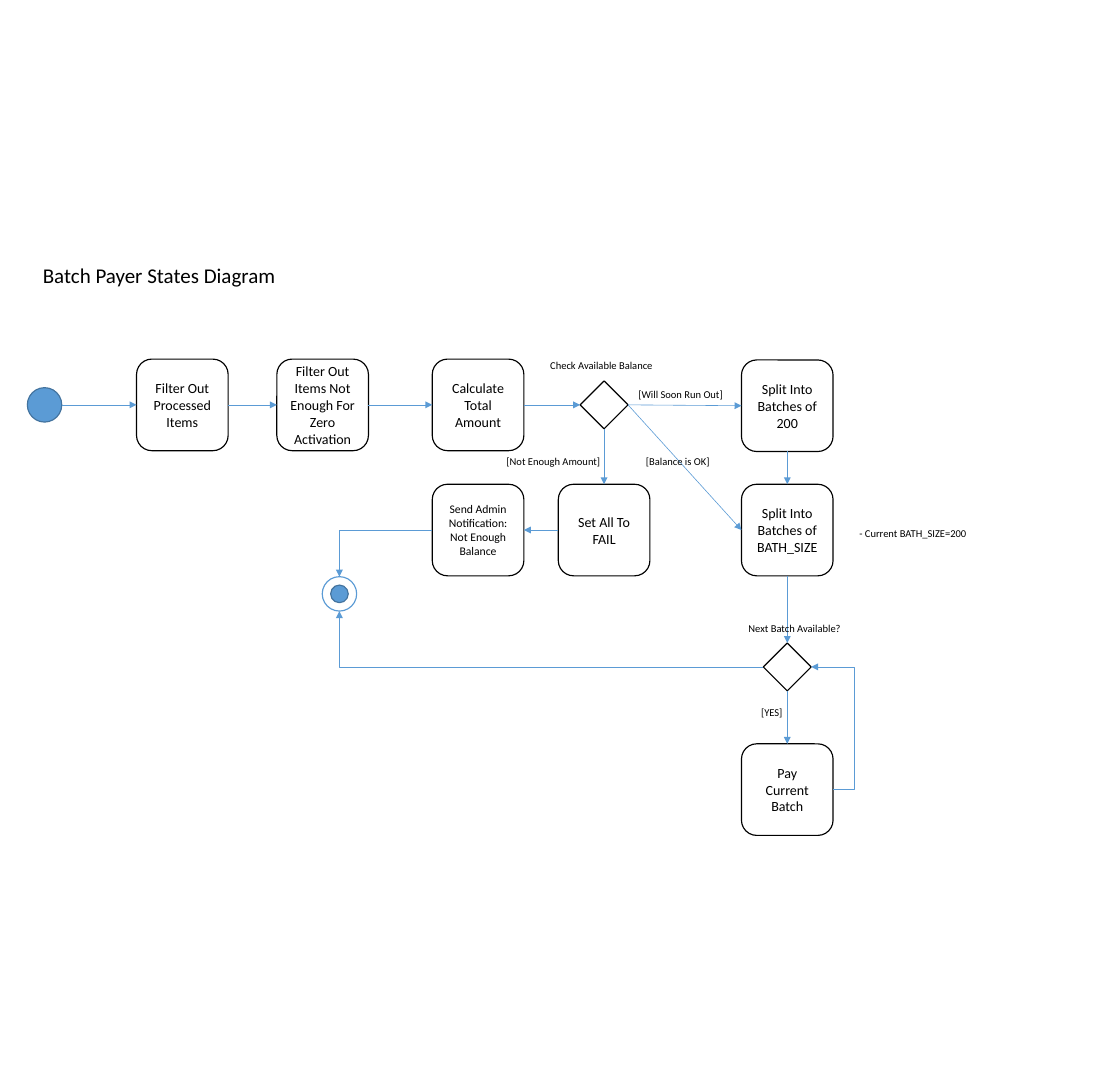
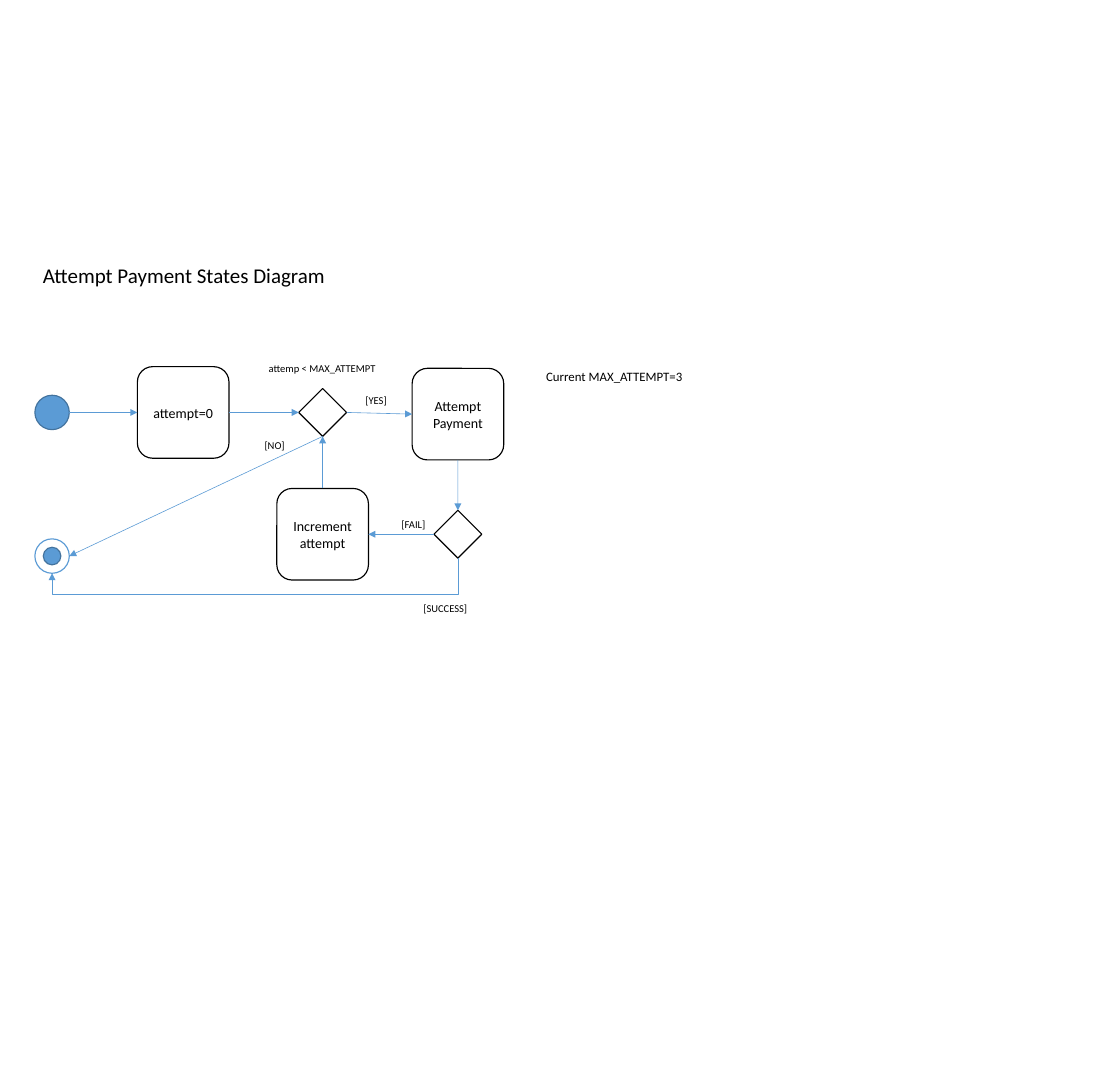
import pptx
import pptx.util
from pptx.dml.color import RGBColor
from pptx.enum.shapes import MSO_CONNECTOR, MSO_SHAPE
from pptx.enum.text import MSO_ANCHOR, MSO_AUTO_SIZE, PP_ALIGN
from pptx.oxml.ns import qn
from pptx.util import Inches

BLACK = RGBColor(0x00, 0x00, 0x00)
WHITE = RGBColor(0xFF, 0xFF, 0xFF)
BLUE = RGBColor(0x5B, 0x9B, 0xD5)
DARK_BLUE = RGBColor(0x43, 0x73, 0x9E)
FONT = "Calibri"

# Connection sites, counted anticlockwise from the top
TOP, LEFT, BOTTOM, RIGHT = range(4)


def write_text(frame, text, size=12, align=PP_ALIGN.LEFT, anchor=MSO_ANCHOR.TOP,
               wrap=True, grow=False):
    """Put one formatted paragraph into a text frame."""
    frame.word_wrap = wrap
    frame.vertical_anchor = anchor
    frame.auto_size = MSO_AUTO_SIZE.SHAPE_TO_FIT_TEXT if grow else MSO_AUTO_SIZE.NONE
    paragraph = frame.paragraphs[0]
    paragraph.alignment = align
    run = paragraph.add_run()
    run.text = text
    run.font.name = FONT
    run.font.size = pptx.util.Pt(size)
    run.font.color.rgb = BLACK


class StateDiagram:
    """The diagram style and the slide being drawn; nodes are placed by centre."""

    STATE, DECISION, CIRCLE, DOT = 1.09, 0.57, 0.41, 0.21
    DETOUR = 0.25  # distance an elbow swings out past its shape

    def __init__(self, deck):
        self.deck = deck
        self.slide = None

    def new_slide(self, title, title_width):
        self.slide = self.deck.slides.add_slide(self.deck.slide_layouts[5])
        heading = self.slide.shapes.title
        heading.left, heading.top = Inches(0.41), Inches(3.08)
        heading.width, heading.height = Inches(title_width), Inches(0.4)
        write_text(heading.text_frame, title, size=18, wrap=False, grow=True)

    def node(self, kind, x, y, size, fill=WHITE, line=BLACK):
        shape = self.slide.shapes.add_shape(
            kind, Inches(x - size / 2), Inches(y - size / 2), Inches(size), Inches(size))
        shape.shadow.inherit = False
        shape.fill.solid()
        shape.fill.fore_color.rgb = fill
        shape.line.color.rgb = line
        shape.line.width = pptx.util.Pt(1)
        return shape

    def state(self, text, x, y, size=12):
        shape = self.node(MSO_SHAPE.ROUNDED_RECTANGLE, x, y, self.STATE)
        write_text(shape.text_frame, text, size=size, align=PP_ALIGN.CENTER,
                   anchor=MSO_ANCHOR.MIDDLE)
        return shape

    def decision(self, x, y):
        return self.node(MSO_SHAPE.DIAMOND, x, y, self.DECISION)

    def start(self, x, y):
        return self.node(MSO_SHAPE.OVAL, x, y, self.CIRCLE, BLUE, DARK_BLUE)

    def end(self, x, y):
        ring = self.node(MSO_SHAPE.OVAL, x, y, self.CIRCLE, WHITE, BLUE)
        self.node(MSO_SHAPE.OVAL, x, y, self.DOT, BLUE, DARK_BLUE)
        return ring

    def label(self, text, x, y, width, height=0.25, size=9, wrap=False):
        box = self.slide.shapes.add_textbox(
            Inches(x), Inches(y), Inches(width), Inches(height))
        write_text(box.text_frame, text, size=size, wrap=wrap, grow=True)

    def arrow(self, source, source_side, target, target_side, kind=MSO_CONNECTOR.STRAIGHT):
        link = self.slide.shapes.add_connector(kind, 0, 0, 0, 0)
        link.begin_connect(source, source_side)
        link.end_connect(target, target_side)
        # An ellipse has eight sites, so its four main ones are every second
        for tag, shape, side in (("a:stCxn", source, source_side),
                                 ("a:endCxn", target, target_side)):
            if shape.auto_shape_type == MSO_SHAPE.OVAL:
                site = next(link._element.iter(qn(tag)))
                site.set("idx", str(side * 2))
        link.line.color.rgb = BLUE
        link.line.width = pptx.util.Pt(0.5)
        line = link.line._get_or_add_ln()
        line.append(line.makeelement(qn("a:tailEnd"), {"type": "triangle"}))
        properties = link._element.spPr
        properties.append(properties.makeelement(qn("a:effectLst"), {}))
        return link

    def corner(self, *ends):
        """An elbow with one bend: across, then up or down."""
        link = self.arrow(*ends, kind=MSO_CONNECTOR.ELBOW)
        link._element.spPr.find(qn("a:prstGeom")).set("prst", "bentConnector2")

    def bend_at(self, link, share):
        geometry = link._element.spPr.find(qn("a:prstGeom"))
        guides = geometry.get_or_add_avLst()
        guides.append(guides.makeelement(
            qn("a:gd"), {"name": "adj1", "fmla": f"val {round(share * 100000)}"}))

    def loop_right(self, source, target):
        """Leave by the right side and come back into a right side."""
        link = self.arrow(source, RIGHT, target, RIGHT, kind=MSO_CONNECTOR.ELBOW)
        self.bend_at(link, -Inches(self.DETOUR) / link.width)

    def loop_below(self, source, target):
        """Leave by the bottom and come up into a bottom further left."""
        link = self.arrow(source, BOTTOM, target, BOTTOM, kind=MSO_CONNECTOR.ELBOW)
        across, down = link.width, link.height
        middle_x, middle_y = link.left + across // 2, link.top + down // 2
        frame = link._element.spPr.find(qn("a:xfrm"))
        frame.attrib.clear()
        frame.set("rot", str(90 * 60000))
        link.left, link.top = middle_x - down // 2, middle_y - across // 2
        link.width, link.height = down, across
        self.bend_at(link, 1 + Inches(self.DETOUR) / down)


deck = pptx.Presentation()
deck.slide_width, deck.slide_height = Inches(13.33), Inches(13)
diagram = StateDiagram(deck)

# Slide 1: batch payer
diagram.new_slide("Batch Payer States Diagram", 3)
MAIN_ROW, FAIL_ROW, NEXT_ROW, PAY_ROW = 4.82, 6.31, 7.94, 9.4
TOTAL_COLUMN, BALANCE_COLUMN, BATCH_COLUMN = 5.69, 7.19, 9.37

start = diagram.start(0.53, MAIN_ROW)
finish = diagram.end(4.04, 7.07)
filter_processed = diagram.state("Filter Out Processed Items", 2.17, MAIN_ROW)
filter_zero = diagram.state(
    "Filter Out Items Not Enough For Zero Activation", 3.84, MAIN_ROW)
total = diagram.state("Calculate Total Amount", TOTAL_COLUMN, MAIN_ROW)
balance = diagram.decision(BALANCE_COLUMN, MAIN_ROW)
split_200 = diagram.state("Split Into Batches of 200", BATCH_COLUMN, 4.83)
set_fail = diagram.state("Set All To FAIL", BALANCE_COLUMN, FAIL_ROW)
notify = diagram.state(
    "Send Admin Notification: Not Enough Balance", TOTAL_COLUMN, FAIL_ROW, size=10)
split_size = diagram.state("Split Into Batches of BATH_SIZE", BATCH_COLUMN, FAIL_ROW)
next_batch = diagram.decision(BATCH_COLUMN, NEXT_ROW)
pay = diagram.state("Pay Current Batch", BATCH_COLUMN, PAY_ROW)

main_flow = [start, filter_processed, filter_zero, total, balance, split_200]
for source, target in zip(main_flow, main_flow[1:]):
    diagram.arrow(source, RIGHT, target, LEFT)
batch_flow = [split_200, split_size, next_batch, pay]
for source, target in zip(batch_flow, batch_flow[1:]):
    diagram.arrow(source, BOTTOM, target, TOP)
diagram.arrow(balance, RIGHT, split_size, LEFT)
diagram.arrow(balance, BOTTOM, set_fail, TOP)
diagram.arrow(set_fail, LEFT, notify, RIGHT)
diagram.corner(notify, LEFT, finish, TOP)
diagram.corner(next_batch, LEFT, finish, BOTTOM)
diagram.loop_right(pay, next_batch)

for text, x, y, width in (
        ("Check Available Balance", 6.45, 4.22, 1.48),
        ("[Not Enough Amount]", 5.93, 5.37, 1.33),
        ("[Will Soon Run Out]", 7.5, 4.57, 1.22),
        ("[Balance is OK]", 7.59, 5.37, 0.96),
        ("Next Batch Available?", 8.81, 7.36, 1.32),
        ("[YES]", 8.96, 8.35, 0.46),
        ("- Current BATH_SIZE=200", 10.13, 6.23, 1.5)):
    diagram.label(text, x, y, width)

# Slide 2: attempt payment
diagram.new_slide("Attempt Payment States Diagram ", 3.66)
ATTEMPT_ROW, RETRY_ROW = 4.91, 6.36
END_COLUMN, LIMIT_COLUMN, PAYMENT_COLUMN = 0.62, 3.84, 5.45

start = diagram.start(END_COLUMN, ATTEMPT_ROW)
finish = diagram.end(END_COLUMN, 6.62)
reset = diagram.state("attempt=0", 2.18, ATTEMPT_ROW)
limit = diagram.decision(LIMIT_COLUMN, ATTEMPT_ROW)
payment = diagram.state("Attempt Payment", PAYMENT_COLUMN, 4.93)
increment = diagram.state("Increment attempt", LIMIT_COLUMN, RETRY_ROW)
outcome = diagram.decision(PAYMENT_COLUMN, RETRY_ROW)

attempt_flow = [start, reset, limit, payment]
for source, target in zip(attempt_flow, attempt_flow[1:]):
    diagram.arrow(source, RIGHT, target, LEFT)
diagram.arrow(payment, BOTTOM, outcome, TOP)
diagram.arrow(outcome, LEFT, increment, RIGHT)
diagram.arrow(increment, TOP, limit, BOTTOM)
diagram.arrow(limit, BOTTOM, finish, RIGHT)
diagram.loop_below(outcome, finish)

for text, x, y, width in (
        ("attemp < MAX_ATTEMPT", 3.1, 4.26, 1.5),
        ("[YES]", 4.25, 4.64, 0.46),
        ("[SUCCESS]", 4.94, 7.12, 0.73),
        ("[FAIL]", 4.68, 6.12, 0.49)):
    diagram.label(text, x, y, width)
diagram.label("[NO]", 3.05, 5.18, 0.46, wrap=True)
diagram.label("Current MAX_ATTEMPT=3", 6.4, 4.34, 1.85, height=0.29, size=11)

deck.save("out.pptx")
